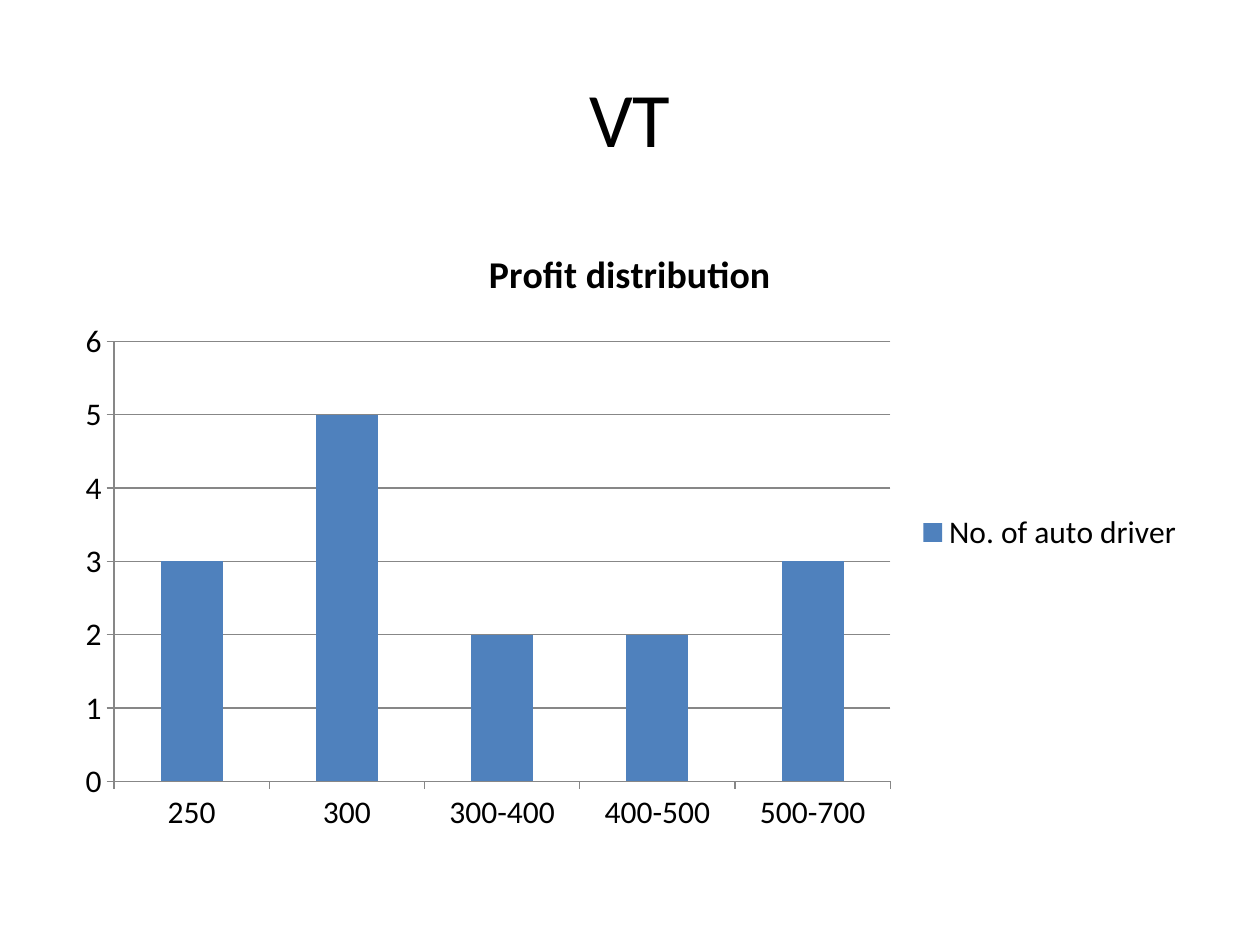
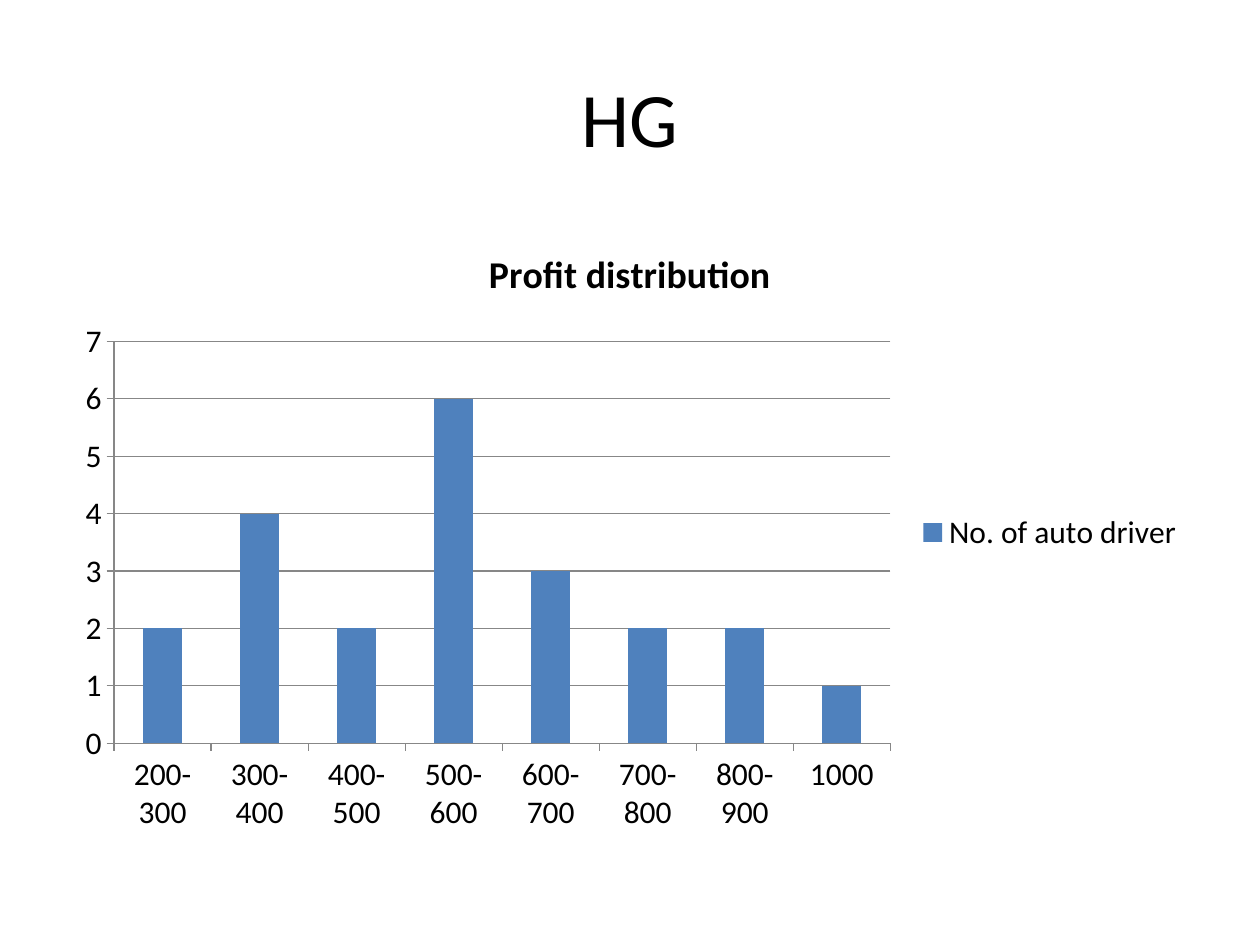
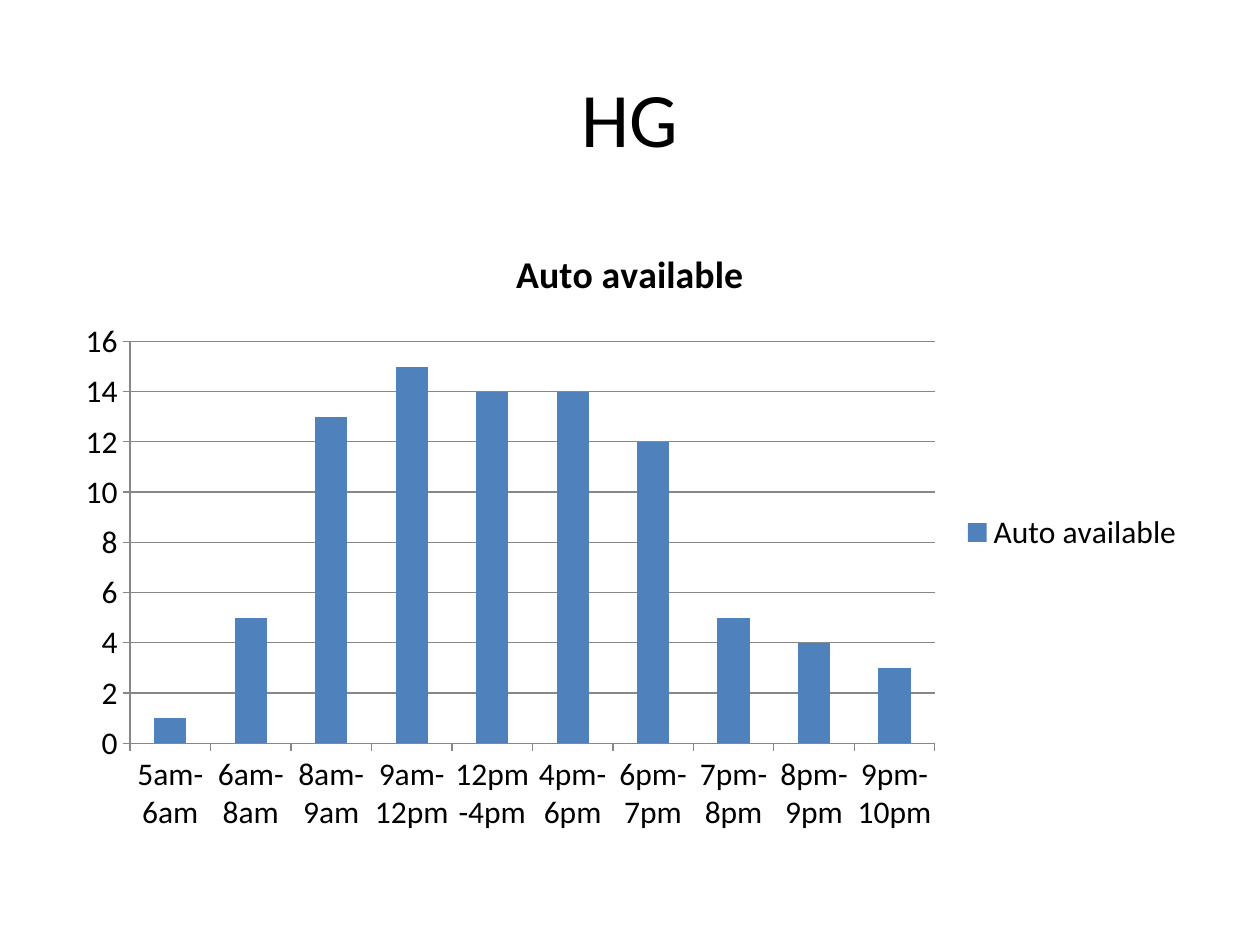
"""Build three slides of column charts about auto drivers and auto availability."""
from dataclasses import dataclass

from pptx import Presentation
from pptx.chart.data import CategoryChartData
from pptx.dml.color import RGBColor
from pptx.enum.chart import XL_CHART_TYPE, XL_LEGEND_POSITION, XL_TICK_MARK
from pptx.enum.text import MSO_ANCHOR, PP_ALIGN
from pptx.util import Cm, Pt

COLUMNS = XL_CHART_TYPE.COLUMN_CLUSTERED
LEGEND_RIGHT = XL_LEGEND_POSITION.RIGHT
TICK_OUTSIDE = XL_TICK_MARK.OUTSIDE
TICK_NONE = XL_TICK_MARK.NONE
MIDDLE = MSO_ANCHOR.MIDDLE
CENTER = PP_ALIGN.CENTER

SLIDES = [
    {
        "title": "VT",
        "chart_title": "Profit distribution",
        "series": "No. of auto driver",
        "values": {"250": 3, "300": 5, "300-400": 2, "400-500": 2, "500-700": 3},
    },
    {
        "title": "HG",
        "chart_title": "Profit distribution",
        "series": "No. of auto driver",
        "values": {
            "200-300": 2, "300-400": 4, "400-500": 2, "500-600": 6,
            "600-700": 3, "700-800": 2, "800-900": 2, "1000": 1,
        },
    },
    {
        "title": "HG",
        "chart_title": "Auto available",
        "series": "Auto available",
        "values": {
            "5am-6am": 1, "6am-8am": 5, "8am-9am": 13, "9am-12pm": 15,
            "12pm-4pm": 14, "4pm-6pm": 14, "6pm-7pm": 12, "7pm-8pm": 5,
            "8pm-9pm": 4, "9pm-10pm": 3,
        },
    },
]


@dataclass(frozen=True)
class Theme:
    """Colours, font and type sizes shared by all slides."""
    font: str = "Calibri"
    text: RGBColor = RGBColor(0x00, 0x00, 0x00)
    column: RGBColor = RGBColor(0x4F, 0x81, 0xBD)
    rule: RGBColor = RGBColor(0x87, 0x87, 0x87)
    background: RGBColor = RGBColor(0xFF, 0xFF, 0xFF)
    title_size: Pt = Pt(44)
    chart_title_size: Pt = Pt(21.6)
    chart_size: Pt = Pt(18)
    rule_width: Pt = Pt(0.75)


THEME = Theme()
SLIDE_WIDTH, SLIDE_HEIGHT = Cm(25.4), Cm(19.05)
MARGIN = Cm(1.27)
CONTENT_WIDTH = SLIDE_WIDTH - 2 * MARGIN
TITLE_TOP, TITLE_HEIGHT = Cm(0.76), Cm(3.18)
CHART_TOP, CHART_HEIGHT = Cm(4.45), Cm(12.57)


def style_font(font, size, bold=False):
    """Apply the theme's face and colour at the given size."""
    font.name = THEME.font
    font.size = size
    font.bold = bold
    font.color.rgb = THEME.text


def style_line(line):
    """Draw a chart rule in the theme's grey."""
    line.color.rgb = THEME.rule
    line.width = THEME.rule_width


def add_title(slide, text):
    """Add the centred slide title."""
    text_box = slide.shapes.add_textbox(MARGIN, TITLE_TOP, CONTENT_WIDTH, TITLE_HEIGHT)
    text_frame = text_box.text_frame
    text_frame.word_wrap = True
    text_frame.vertical_anchor = MIDDLE
    text_frame.text = text
    paragraph = text_frame.paragraphs[0]
    paragraph.alignment = CENTER
    style_font(paragraph.runs[0].font, THEME.title_size)


def add_column_chart(slide, content):
    """Add the column chart with its title, legend and axes."""
    data = CategoryChartData()
    data.categories = list(content["values"])
    data.add_series(content["series"], list(content["values"].values()))
    chart = slide.shapes.add_chart(
        COLUMNS, MARGIN, CHART_TOP, CONTENT_WIDTH, CHART_HEIGHT, data
    ).chart
    style_font(chart.font, THEME.chart_size)

    title_frame = chart.chart_title.text_frame
    title_frame.text = content["chart_title"]
    style_font(title_frame.paragraphs[0].runs[0].font, THEME.chart_title_size, bold=True)
    chart.chart_title.include_in_layout = False

    chart.has_legend = True
    chart.legend.position = LEGEND_RIGHT
    chart.legend.include_in_layout = False

    for axis in (chart.category_axis, chart.value_axis):
        axis.major_tick_mark = TICK_OUTSIDE
        axis.minor_tick_mark = TICK_NONE
        style_line(axis.format.line)
    chart.value_axis.has_major_gridlines = True
    style_line(chart.value_axis.major_gridlines.format.line)

    plot = chart.plots[0]
    plot.gap_width = 150
    plot.vary_by_categories = False
    fill = plot.series[0].format.fill
    fill.solid()
    fill.fore_color.rgb = THEME.column


def main():
    """Build and save the presentation."""
    presentation = Presentation()
    presentation.slide_width = SLIDE_WIDTH
    presentation.slide_height = SLIDE_HEIGHT
    blank_layout = presentation.slide_layouts[6]
    for content in SLIDES:
        slide = presentation.slides.add_slide(blank_layout)
        slide.background.fill.solid()
        slide.background.fill.fore_color.rgb = THEME.background
        add_title(slide, content["title"])
        add_column_chart(slide, content)
    presentation.save("out.pptx")


if __name__ == "__main__":
    main()
